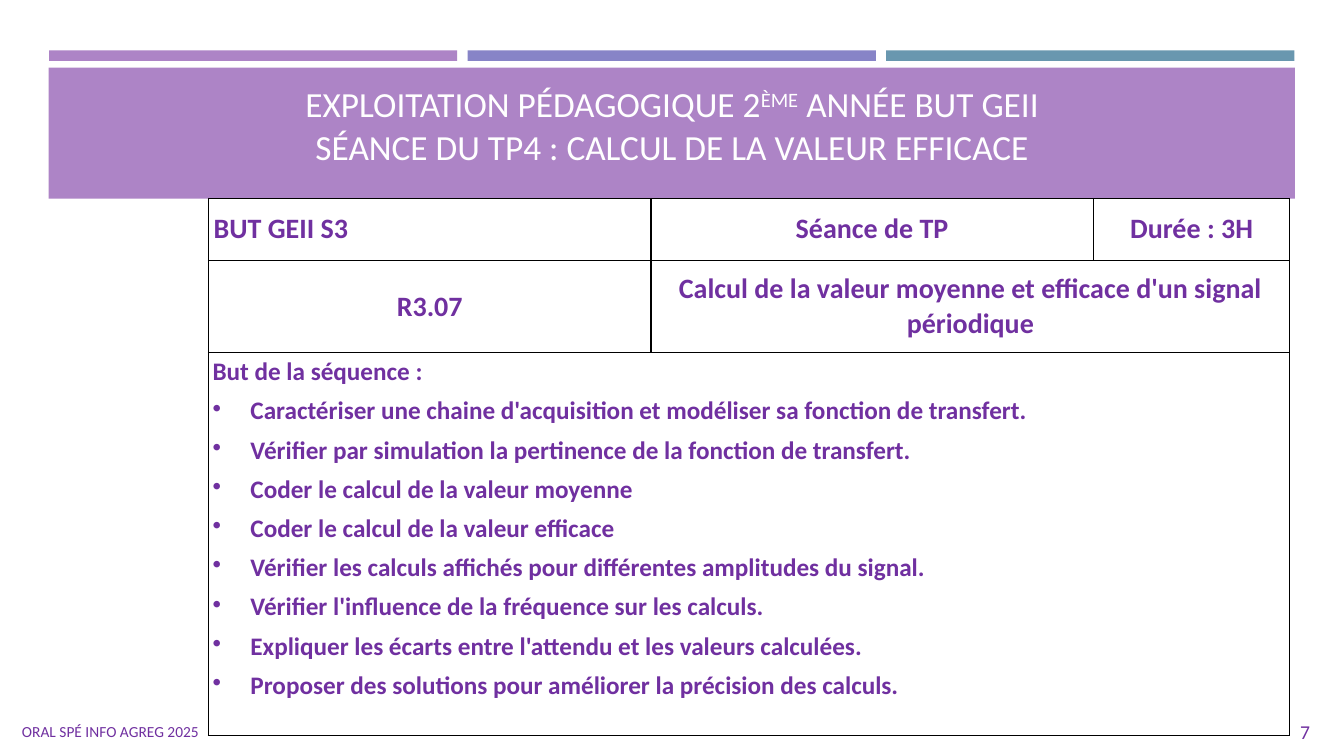
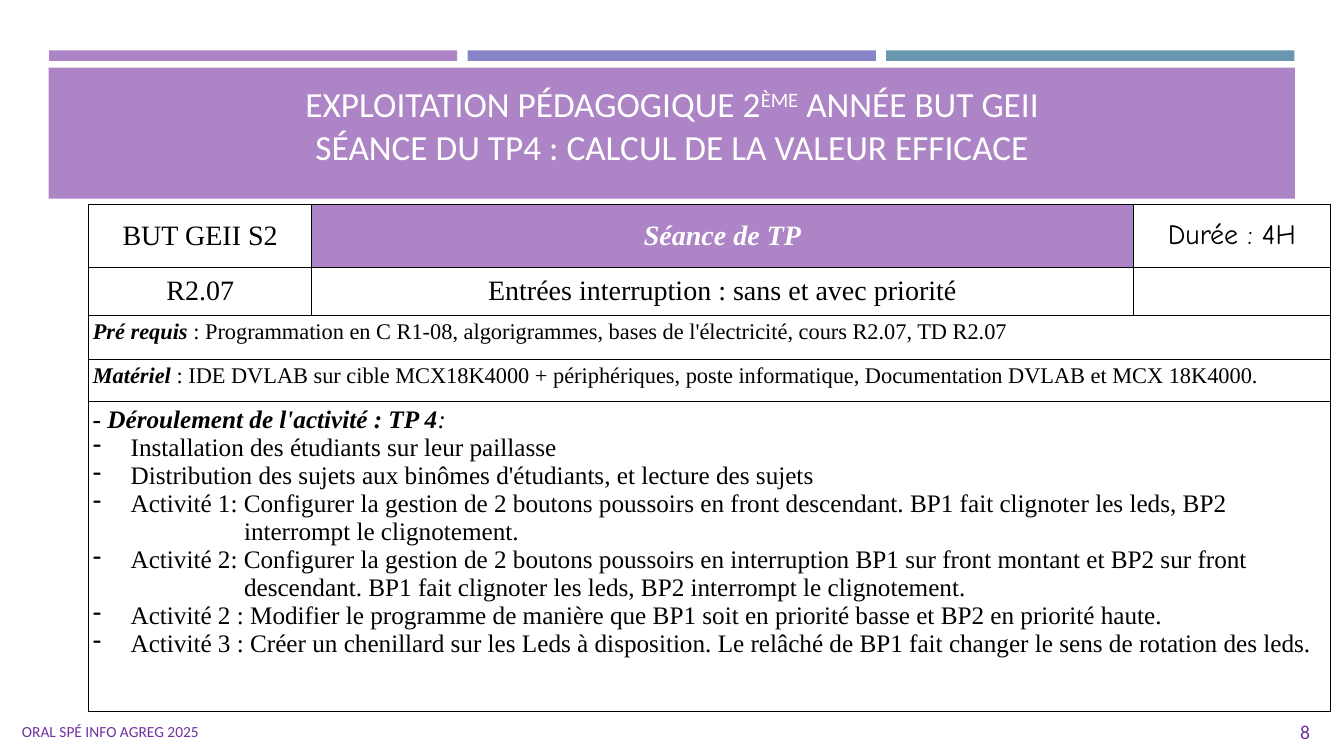
from dataclasses import dataclass
from typing import Optional

from lxml.etree import SubElement
from pptx import Presentation
from pptx.dml.color import RGBColor
from pptx.enum.shapes import MSO_SHAPE
from pptx.enum.text import MSO_ANCHOR, PP_ALIGN
from pptx.oxml.ns import qn
from pptx.util import Pt

MAUVE = RGBColor(0xAD, 0x84, 0xC6)
INDIGO = RGBColor(0x87, 0x84, 0xC7)
TEAL = RGBColor(0x69, 0x97, 0xAF)
PURPLE = RGBColor(0x70, 0x30, 0xA0)
WHITE = RGBColor(0xFF, 0xFF, 0xFF)
BLACK = RGBColor(0, 0, 0)
SANS = "Calibri"
SERIF = "Times New Roman"
COMIC = "Comic Neue"
LEFT, MID = PP_ALIGN.LEFT, PP_ALIGN.CENTER


@dataclass(frozen=True)
class Style:
    font: str
    size: float
    tint: RGBColor
    bold: bool = False
    slant: bool = False
    lift: int = 0


@dataclass(frozen=True)
class Span:
    text: str
    style: Style


@dataclass(frozen=True)
class Para:
    spans: list[Span]
    align: PP_ALIGN = LEFT
    before: float = 0
    after: float = 0
    line: Optional[float] = None
    margin: float = 0
    hang: float = 0
    bullet: str = ""


@dataclass(frozen=True)
class Box:
    row: int
    col: int
    paras: list[Para]
    width: int = 1
    pad: float = 3.6
    anchor: MSO_ANCHOR = MSO_ANCHOR.MIDDLE
    fill: RGBColor = WHITE


@dataclass(frozen=True)
class Grid:
    left: float
    top: float
    cols: list[float]
    rows: list[float]
    boxes: list[Box]


TITLE = Style(SANS, 25.2, WHITE)
RAISED = Style(SANS, 25.2, WHITE, lift=30000)
FOOTER = Style(SANS, 11, PURPLE)
NUMBER = Style(SANS, 14, PURPLE)
HEAD = Style(SANS, 20, PURPLE, bold=True)
GOAL = Style(SANS, 18, PURPLE, bold=True)
PLAIN = Style(SERIF, 20, BLACK)
BANNER = Style(SERIF, 20, WHITE, bold=True, slant=True)
TIME = Style(COMIC, 20, BLACK)
NOTE = Style(SERIF, 16, BLACK)
LABEL = Style(SERIF, 16, BLACK, bold=True, slant=True)
STEP = Style(SERIF, 18, BLACK)
STAGE = Style(SERIF, 18, BLACK, bold=True, slant=True)
COLON = Style(SERIF, 18, BLACK, slant=True)

GOALS = [
    "Caractériser une chaine d'acquisition et modéliser sa fonction de transfert.",
    "Vérifier par simulation la pertinence de la fonction de transfert.",
    "Coder le calcul de la valeur moyenne",
    "Coder le calcul de la valeur efficace",
    "Vérifier les calculs affichés pour différentes amplitudes du signal.",
    "Vérifier l'influence de la fréquence sur les calculs.",
    "Expliquer les écarts entre l'attendu et les valeurs calculées.",
    "Proposer des solutions pour améliorer la précision des calculs.",
]
STEPS = [
    ("Installation des étudiants sur leur paillasse", ""),
    ("Distribution des sujets aux binômes d'étudiants, et lecture des sujets", ""),
    ("Activité 1: Configurer la gestion de 2 boutons poussoirs en front descendant. "
     "BP1 fait clignoter les leds, BP2", "interrompt le clignotement."),
    ("Activité 2: Configurer la gestion de 2 boutons poussoirs en interruption BP1 "
     "sur front montant et BP2 sur front",
     "descendant. BP1 fait clignoter les leds, BP2 interrompt le clignotement."),
    ("Activité 2 : Modifier le programme de manière que BP1 soit en priorité basse "
     "et BP2 en priorité haute.", ""),
    ("Activité 3 : Créer un chenillard sur les Leds à disposition. Le relâché de BP1 "
     "fait changer le sens de rotation des leds.", ""),
]


def head(text: str, style: Style, align: PP_ALIGN = MID, after: float = 6) -> list[Para]:
    return [Para([Span(text, style)], align, after=after)]


def note(label: str, text: str, hang: float) -> list[Para]:
    return [Para([Span(label, LABEL), Span(text, NOTE)], margin=hang, hang=hang)]


def goals() -> list[Para]:
    lead = Para([Span("But de la séquence : ".rstrip(), GOAL)])
    return [lead] + [
        Para([Span(text, GOAL)], before=6, margin=27, hang=27, bullet="•") for text in GOALS
    ]


def steps() -> list[Para]:
    paras = [Para([Span("- Déroulement de l'activité : TP 4", STAGE), Span(":", COLON)], line=20)]
    for text, rest in STEPS:
        paras.append(Para([Span(text, STEP)], line=20, margin=27, hang=27, bullet="-"))
        if rest:
            paras.append(Para([Span(rest, STEP)], line=20, margin=108))
    return paras


def wide(row: int, paras: list[Para]) -> Box:
    return Box(row, 0, paras, 3, 2.9, MSO_ANCHOR.TOP)


GRIDS = {
    7: Grid(149, 141.8, [316, 316, 140.4], [44, 66.2, 273.2], [
        Box(0, 0, head("BUT GEII S3", HEAD, LEFT, 12)),
        Box(0, 1, head("Séance de TP", HEAD)),
        Box(0, 2, head("Durée : 3H", HEAD)),
        Box(1, 0, head("R3.07", HEAD)),
        Box(1, 1, head("Calcul de la valeur moyenne et efficace d'un signal périodique",
                       HEAD, after=0), 2),
        wide(2, goals()),
    ]),
    8: Grid(63.4, 145.8, [159.2, 587, 140.6], [45.2, 34.4, 31.4, 30.2, 221.4], [
        Box(0, 0, head("BUT GEII S2", PLAIN, after=12)),
        Box(0, 1, head("Séance de TP", BANNER), fill=MAUVE),
        Box(0, 2, head("Durée : 4H", TIME)),
        Box(1, 0, head("R2.07", PLAIN, after=0)),
        Box(1, 1, head("Entrées interruption : sans et avec priorité", PLAIN, after=0)),
        Box(1, 2, []),
        wide(2, note("Pré requis", " : Programmation en C R1-08, algorigrammes, bases de "
                     "l'électricité, cours R2.07, TD R2.07", 51.8)),
        wide(3, note("Matériel ", ": IDE DVLAB sur cible MCX18K4000 + périphériques, poste "
                     "informatique, Documentation DVLAB et MCX 18K4000.", 44.6)),
        wide(4, steps()),
    ]),
}


def write(frame, paras: list[Para]) -> None:
    for i, para in enumerate(paras):
        item = frame.add_paragraph() if i else frame.paragraphs[0]
        item.alignment = para.align
        item.space_before = Pt(para.before)
        item.space_after = Pt(para.after)
        if para.line:
            item.line_spacing = Pt(para.line)
        props = item._p.get_or_add_pPr()
        props.set("marL", str(Pt(para.margin)))
        props.set("indent", str(-Pt(para.hang)))
        if para.bullet:
            SubElement(props, qn("a:buChar")).set("char", para.bullet)
        for span in para.spans:
            run = item.add_run()
            run.text = span.text
            style, font = span.style, run.font
            font.name, font.size = style.font, Pt(style.size)
            font.bold, font.italic = style.bold, style.slant
            font.color.rgb = style.tint
            if style.lift:
                run._r.get_or_add_rPr().set("baseline", str(style.lift))


def block(slide, x: float, y: float, w: float, h: float, tint: RGBColor) -> None:
    shape = slide.shapes.add_shape(MSO_SHAPE.RECTANGLE, Pt(x), Pt(y), Pt(w), Pt(h))
    shape.shadow.inherit = False
    shape.fill.solid()
    shape.fill.fore_color.rgb = tint
    shape.line.fill.background()


def label(slide, x: float, y: float, w: float, h: float,
          paras: list[Para], anchor: MSO_ANCHOR = MSO_ANCHOR.MIDDLE) -> None:
    frame = slide.shapes.add_textbox(Pt(x), Pt(y), Pt(w), Pt(h)).text_frame
    frame.word_wrap = True
    frame.vertical_anchor = anchor
    write(frame, paras)


def border(cell) -> None:
    props = cell._tc.get_or_add_tcPr()
    for side in ("lnL", "lnR", "lnT", "lnB"):
        line = SubElement(props, qn(f"a:{side}"), w=str(Pt(1)))
        fill = SubElement(line, qn("a:solidFill"))
        SubElement(fill, qn("a:srgbClr")).set("val", str(BLACK))


def table(slide, grid: Grid) -> None:
    sheet = slide.shapes.add_table(
        len(grid.rows), len(grid.cols), Pt(grid.left), Pt(grid.top),
        Pt(sum(grid.cols)), Pt(sum(grid.rows))).table
    sheet.first_row = sheet.horz_banding = False
    for col, width in zip(sheet.columns, grid.cols):
        col.width = Pt(width)
    for row, height in zip(sheet.rows, grid.rows):
        row.height = Pt(height)
    for cell in sheet.iter_cells():
        border(cell)
        cell.fill.solid()
        cell.fill.fore_color.rgb = WHITE
    for box in grid.boxes:
        cell = sheet.cell(box.row, box.col)
        if box.width > 1:
            cell.merge(sheet.cell(box.row, box.col + box.width - 1))
        cell.fill.fore_color.rgb = box.fill
        cell.vertical_anchor = box.anchor
        cell.margin_left = cell.margin_right = Pt(box.pad)
        cell.margin_top = cell.margin_bottom = Pt(box.pad)
        write(cell.text_frame, box.paras)


def frame(slide, number: int) -> None:
    for i, tint in enumerate((MAUVE, INDIGO, TEAL)):
        block(slide, 35 + i * 299, 36, 291.6, 7.5, tint)
    block(slide, 34.7, 48.4, 890.3, 93.6, MAUVE)
    label(slide, 921.6, 508.3, 35.3, 28.8, head(str(number), NUMBER, LEFT))
    label(slide, 46, 54, 868.3, 69.1, [
        Para([Span("EXPLOITATION PÉDAGOGIQUE 2", TITLE), Span("ÈME", RAISED),
              Span(" ANNÉE BUT GEII", TITLE)], MID),
        Para([Span("SÉANCE DU TP4 : CALCUL DE LA VALEUR EFFICACE", TITLE)], MID),
    ], MSO_ANCHOR.BOTTOM)
    label(slide, 8.6, 508.3, 159, 28.8, head("ORAL SPÉ INFO AGREG 2025", FOOTER, LEFT))


def main() -> None:
    deck = Presentation()
    deck.slide_width, deck.slide_height = Pt(960), Pt(540)
    for number, grid in GRIDS.items():
        slide = deck.slides.add_slide(deck.slide_layouts[6])
        frame(slide, number)
        table(slide, grid)
    deck.save("out.pptx")


if __name__ == "__main__":
    main()
